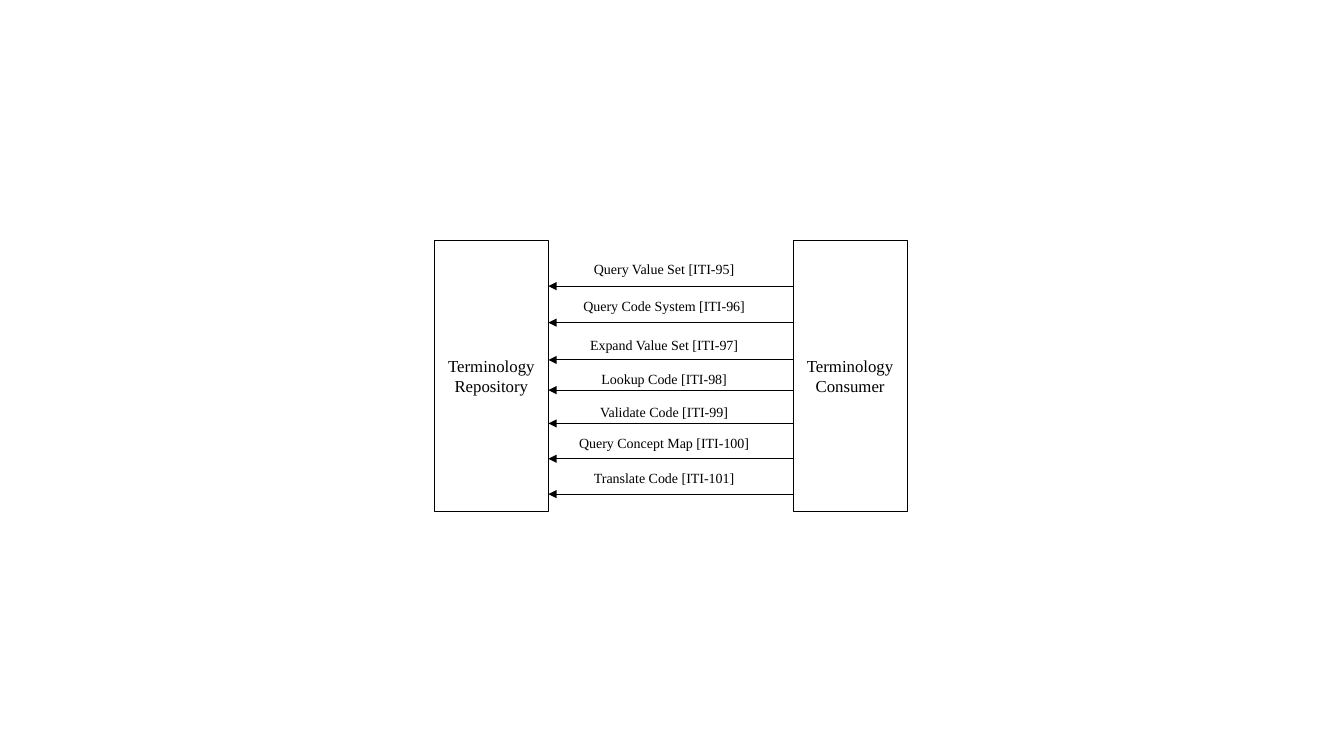
from dataclasses import dataclass

from lxml.etree import SubElement
from pptx import Presentation
from pptx.dml.color import RGBColor
from pptx.enum.shapes import MSO_CONNECTOR as Conn, MSO_SHAPE as Shape
from pptx.enum.text import MSO_ANCHOR as Anchor, PP_ALIGN as Align
from pptx.oxml.ns import qn
from pptx.util import Cm, Pt


@dataclass(frozen=True)
class Theme:
    ink: RGBColor = RGBColor(0, 0, 0)
    paper: RGBColor = RGBColor(255, 255, 255)
    font: str = "Times New Roman"
    actor_size: Pt = Pt(12)
    label_size: Pt = Pt(10)
    line_width: Pt = Pt(0.75)


THEME = Theme()

# Layout in centimetres
ACTOR_TOP, ACTOR_W, ACTOR_H = 6.07, 2.87, 6.81
REPOSITORY_X, CONSUMER_X = 10.95, 19.99
LABEL_X, LABEL_W, LABEL_H = 13.65, 6.17, 0.58

# Transaction, label top, arrow height
TRANSACTIONS = [
    ("Query Value Set [ITI-95]", 6.48, 7.21),
    ("Query Code System [ITI-96]", 7.42, 8.13),
    ("Expand Value Set [ITI-97]", 8.41, 9.07),
    ("Lookup Code [ITI-98]", 9.25, 9.83),
    ("Validate Code [ITI-99]", 10.08, 10.67),
    ("Query Concept Map [ITI-100]", 10.87, 11.56),
    ("Translate Code [ITI-101]", 11.76, 12.45),
]


def set_attrs(obj, formats):
    for name, value in formats.items():
        setattr(obj, name, value)


def write_text(sp, text, size, **frame):
    tf = sp.text_frame
    set_attrs(tf, {"word_wrap": True, "vertical_anchor": Anchor.MIDDLE, **frame})
    p = tf.paragraphs[0]
    p.alignment = Align.CENTER
    r = p.add_run()
    r.text = text
    set_attrs(r.font, {"name": THEME.font, "size": size})
    r.font.color.rgb = THEME.ink


def style_line(sp):
    sp.line.color.rgb = THEME.ink
    sp.line.width = THEME.line_width


def add_actor(s, name, x):
    sp = s.shapes.add_shape(Shape.RECTANGLE, Cm(x), Cm(ACTOR_TOP),
                            Cm(ACTOR_W), Cm(ACTOR_H))
    sp.shadow.inherit = False
    sp.fill.solid()
    sp.fill.fore_color.rgb = THEME.paper
    style_line(sp)
    write_text(sp, name, THEME.actor_size)


def add_arrow(s, y):
    sp = s.shapes.add_connector(Conn.STRAIGHT, Cm(CONSUMER_X), Cm(y),
                                Cm(REPOSITORY_X + ACTOR_W), Cm(y))
    style_line(sp)
    SubElement(sp.line._get_or_add_ln(), qn("a:tailEnd"), type="triangle")
    SubElement(sp._element.spPr, qn("a:effectLst"))


def add_label(s, text, y):
    sp = s.shapes.add_textbox(Cm(LABEL_X), Cm(y), Cm(LABEL_W), Cm(LABEL_H))
    write_text(sp, text, THEME.label_size, margin_left=0, margin_top=0,
               margin_right=0, margin_bottom=0)


def main():
    prs = Presentation()
    set_attrs(prs, {"slide_width": Cm(33.87), "slide_height": Cm(19.05)})
    s = prs.slides.add_slide(prs.slide_layouts[6])

    # Actors
    add_actor(s, "Terminology Repository", REPOSITORY_X)
    add_actor(s, "Terminology Consumer", CONSUMER_X)

    # Transactions from consumer to repository
    for name, label_y, arrow_y in TRANSACTIONS:
        add_label(s, name, label_y)
        add_arrow(s, arrow_y)

    prs.save("out.pptx")


if __name__ == "__main__":
    main()
